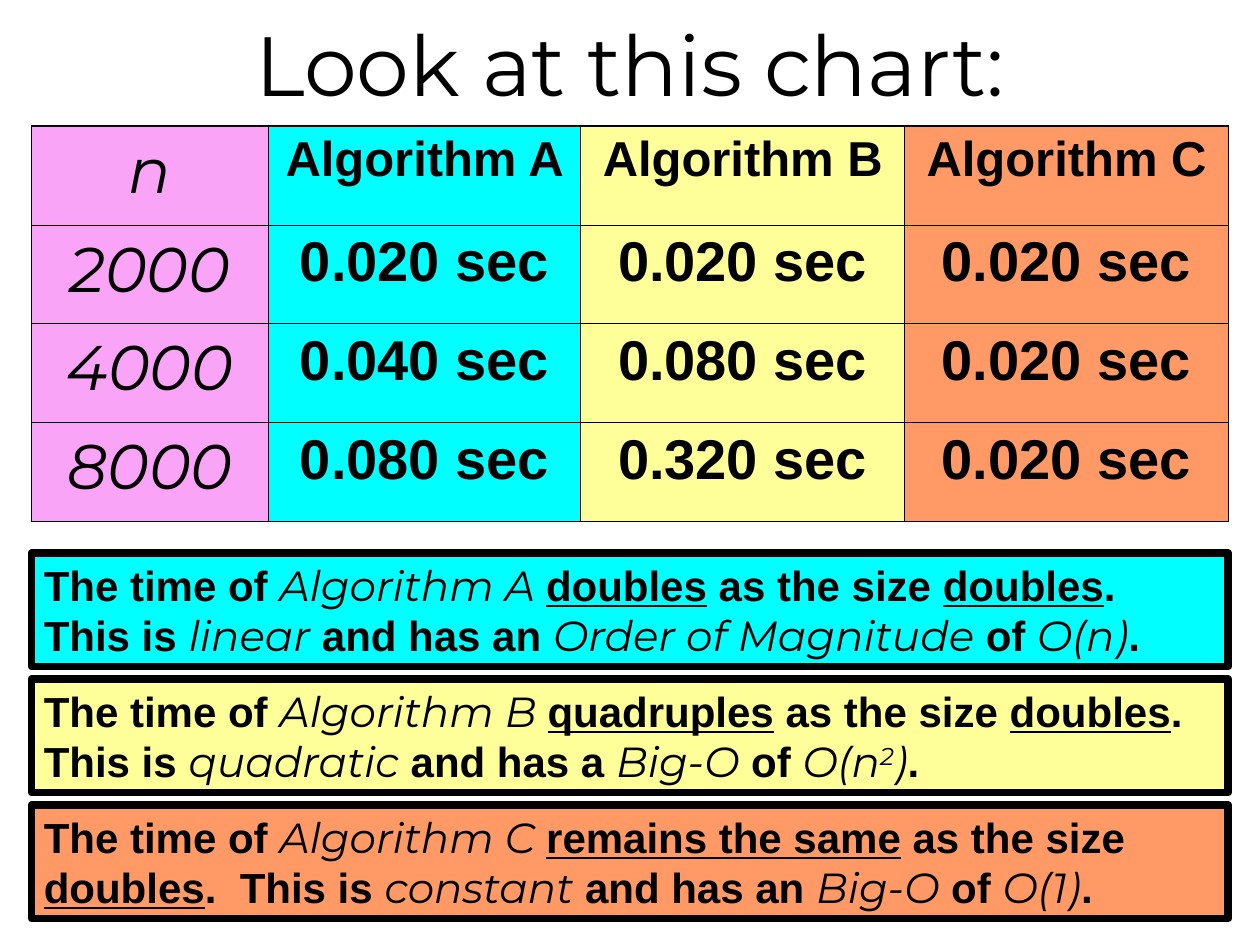
from pptx import Presentation
from pptx.dml.color import RGBColor
from pptx.enum.shapes import MSO_SHAPE as Shape
from pptx.enum.text import MSO_ANCHOR as Anchor, MSO_AUTO_SIZE as AutoSize, PP_ALIGN as Align
from pptx.oxml.ns import qn
from pptx.util import Inches, Pt
from lxml import etree

BLACK = RGBColor(0x00, 0x00, 0x00)
PINK = RGBColor(0xFA, 0xA4, 0xF8)
CYAN = RGBColor(0x00, 0xFF, 0xFF)
YELLOW = RGBColor(0xFF, 0xFF, 0x99)
ORANGE = RGBColor(0xFF, 0x99, 0x66)

# Run styles
PLAIN = {"font": "Montserrat"}
BOLD = {"font": "Arial", "bold": True}
UNDER = {"font": "Arial", "bold": True, "underline": True}
ITALIC = {"font": "Montserrat", "italic": True}
SUPER = {"font": "Montserrat", "italic": True, "baseline": 30}

COLUMNS = [(1.88, PINK), (2.48, CYAN), (2.57, YELLOW), (2.57, ORANGE)]
TIMES = [
    ["n", "Algorithm A", "Algorithm B", "Algorithm C"],
    ["2000", "0.020 sec", "0.020 sec", "0.020 sec"],
    ["4000", "0.040 sec", "0.080 sec", "0.020 sec"],
    ["8000", "0.080 sec", "0.320 sec", "0.020 sec"],
]


def opening(name, change):
    """Runs that begin every conclusion, up to the last full stop."""
    return [("The time of ", BOLD), (f"Algorithm {name} ", ITALIC), (change, UNDER),
            (" as the size ", BOLD), ("doubles", UNDER)]


def verdict(kind, link, measure, order):
    """Runs that name the growth and its order."""
    return [(kind, ITALIC), (link, BOLD), (measure, ITALIC), (" of ", BOLD),
            *order, (".", BOLD)]


CONCLUSIONS = [
    (CYAN, [
        opening("A", "doubles") + [(".", BOLD)],
        [("This is ", BOLD)]
        + verdict("linear", " and has an ", "Order of Magnitude", [("O(n)", ITALIC)]),
    ]),
    (YELLOW, [
        opening("B", "quadruples") + [(".", BOLD)],
        [("This is ", BOLD)]
        + verdict("quadratic", " and has a ", "Big-O",
                  [("O(n", ITALIC), ("2", SUPER), (")", ITALIC)]),
    ]),
    (ORANGE, [
        opening("C", "remains the same") + [(".  This is ", BOLD)]
        + verdict("constant", " and has an ", "Big-O", [("O(1)", ITALIC)]),
    ]),
]


def add_span(para, text, size, style):
    span = para.add_run()
    span.text = text
    font = span.font
    font.size = Pt(size)
    font.name = style["font"]
    font.bold = style.get("bold", False)
    font.italic = style.get("italic", False)
    font.underline = style.get("underline", False)
    font.color.rgb = BLACK
    if "baseline" in style:
        span._r.get_or_add_rPr().set("baseline", str(style["baseline"] * 1000))


def add_title(page, left, top, width, height):
    box = page.shapes.add_textbox(left, top, width, height)
    frame = box.text_frame
    frame.word_wrap = True
    frame.vertical_anchor = Anchor.MIDDLE
    para = frame.paragraphs[0]
    para.alignment = Align.CENTER
    add_span(para, "Look at this chart:", 48, PLAIN)


def add_borders(cell, widths):
    properties = cell._tc.get_or_add_tcPr()
    for side, width in widths.items():
        line = etree.SubElement(properties, qn(f"a:ln{side}"), w=str(Pt(width)))
        fill = etree.SubElement(line, qn("a:solidFill"))
        etree.SubElement(fill, qn("a:srgbClr"), val=str(BLACK))


def add_times_table(page, left, top, width, height):
    last_row, last_column = len(TIMES) - 1, len(COLUMNS) - 1
    table = page.shapes.add_table(len(TIMES), len(COLUMNS), left, top, width, height).table
    for column, (column_width, _) in zip(table.columns, COLUMNS):
        column.width = Inches(column_width)
    for row, values in enumerate(TIMES):
        table.rows[row].height = height // len(TIMES)
        for column, value in enumerate(values):
            cell = table.cell(row, column)
            # Outer edges are heavier than inner ones
            outer = {"L": column == 0, "R": column == last_column,
                     "T": row == 0, "B": row == last_row}
            add_borders(cell, {side: 1.08 if edge else 0.45 for side, edge in outer.items()})
            cell.fill.solid()
            cell.fill.fore_color.rgb = COLUMNS[column][1]
            para = cell.text_frame.paragraphs[0]
            para.alignment = Align.CENTER
            if column == 0:
                add_span(para, value, 36, ITALIC)
            else:
                add_span(para, value, 28 if row == 0 else 32, BOLD)


def add_conclusion(page, left, top, width, height, color, lines):
    box = page.shapes.add_shape(Shape.RECTANGLE, left, top, width, height)
    box.shadow.inherit = False
    box.fill.solid()
    box.fill.fore_color.rgb = color
    box.line.color.rgb = BLACK
    box.line.width = Pt(4.5)
    frame = box.text_frame
    frame.word_wrap = True
    frame.auto_size = AutoSize.SHAPE_TO_FIT_TEXT
    frame.vertical_anchor = Anchor.TOP
    for index, spans in enumerate(lines):
        para = frame.add_paragraph() if index else frame.paragraphs[0]
        para.alignment = Align.LEFT
        for text, style in spans:
            add_span(para, text, 24, style)


def main():
    deck = Presentation()
    deck.slide_width, deck.slide_height = Inches(10), Inches(7.5)
    page = deck.slides.add_slide(deck.slide_layouts[6])

    left, width = Inches(0.25), Inches(9.5)
    add_title(page, 0, 0, deck.slide_width, Inches(1))
    add_times_table(page, left, Inches(1), width, Inches(3.14))

    # One conclusion per algorithm, evenly stacked
    for index, (color, lines) in enumerate(CONCLUSIONS):
        add_conclusion(page, left, Inches(4.39 + index), width, Inches(0.9), color, lines)

    deck.save("out.pptx")


if __name__ == "__main__":
    main()
